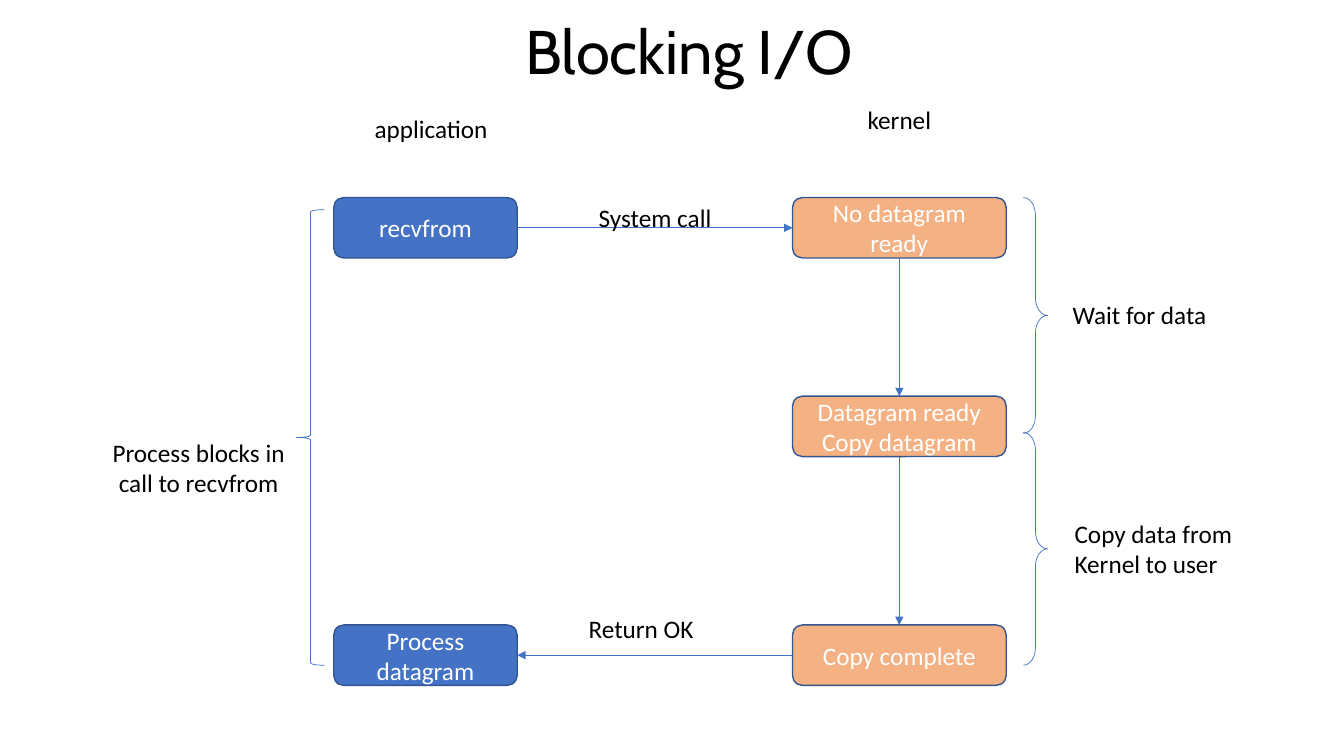
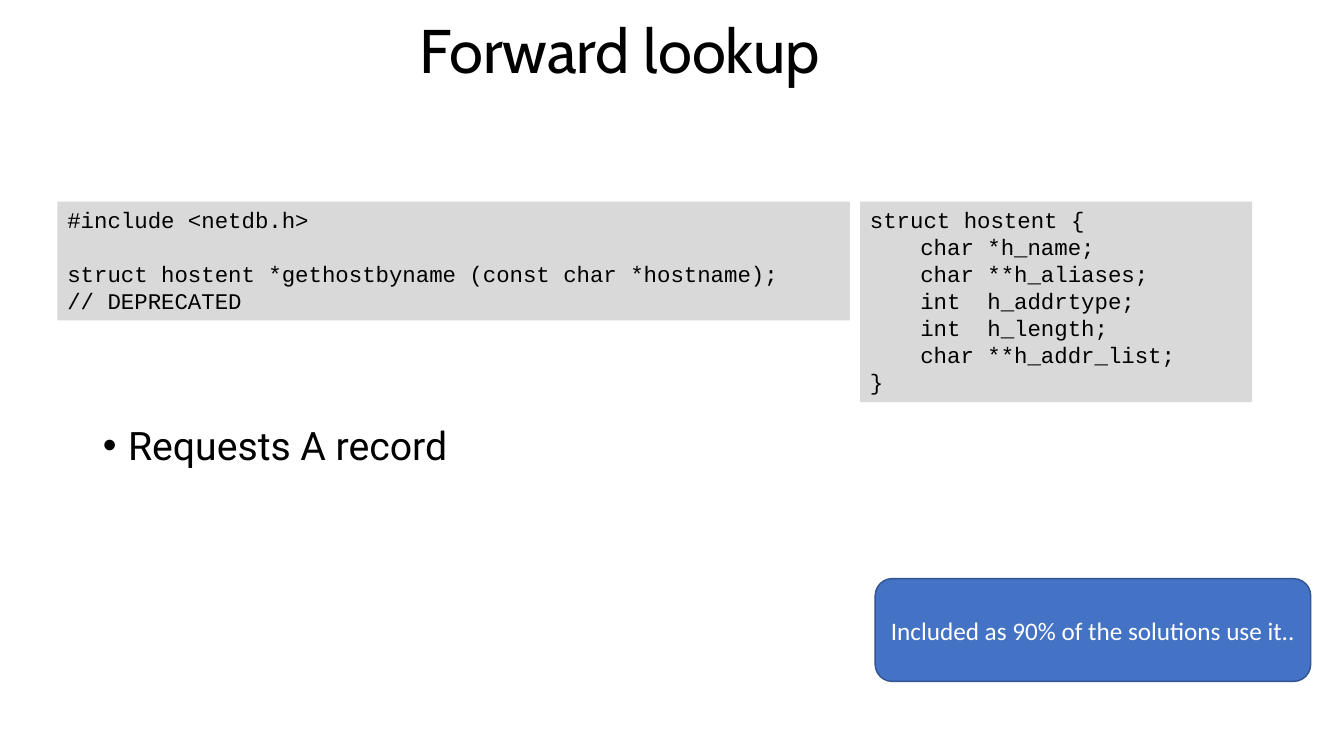
from lxml import etree
from pptx import Presentation
from pptx import util as u
from pptx.dml.color import RGBColor
from pptx.enum import shapes, text
from pptx.oxml.ns import qn

COLORS = {
    "ink": "000000", "white": "FFFFFF", "blue": "4472C4",
    "edge": "325491", "orange": "F4B183", "code": "D9D9D9",
}
STYLES = {
    "title": {"name": "Cabin", "size": u.Pt(44)},
    "body": {"name": "Roboto", "size": u.Pt(28)},
    "label": {"name": "Calibri", "size": u.Pt(18)},
    "code": {"name": "Courier New", "size": u.Pt(16)},
}
SHAPE = shapes.MSO_SHAPE
ALIGN = text.PP_ALIGN
ANCHOR = text.MSO_ANCHOR


def write(shape, words, style, color="ink", align=ALIGN.LEFT, anchor=ANCHOR.TOP,
          wrap=True, grow=False, spacing=1.0):
    """Fill a shape with one paragraph per line of words, all in one style."""
    frame = shape.text_frame
    frame.text = words
    frame_format = {
        "vertical_anchor": anchor,
        "word_wrap": wrap,
        "auto_size": text.MSO_AUTO_SIZE.SHAPE_TO_FIT_TEXT if grow else text.MSO_AUTO_SIZE.NONE,
    }
    for key, value in frame_format.items():
        setattr(frame, key, value)
    for paragraph in frame.paragraphs:
        paragraph.alignment = align
        paragraph.line_spacing = spacing
        paragraph.space_before = u.Pt(0)
        for run in paragraph.runs:
            for key, value in STYLES[style].items():
                setattr(run.font, key, value)
            run.font.color.rgb = RGBColor.from_string(COLORS[color])
        if not paragraph.runs:
            size = str(int(STYLES[style]["size"].pt * 100))
            etree.SubElement(paragraph._p, qn("a:endParaRPr"), sz=size)


def add_shape(slide, kind, place, fill=None, line=None, weight=1):
    shape = slide.shapes.add_shape(kind, *map(u.Inches, place))
    shape.shadow.inherit = False
    if fill:
        shape.fill.solid()
        shape.fill.fore_color.rgb = RGBColor.from_string(COLORS[fill])
    else:
        shape.fill.background()
    if line:
        shape.line.color.rgb = RGBColor.from_string(COLORS[line])
        shape.line.width = u.Pt(weight)
    else:
        shape.line.fill.background()
    return shape


deck = Presentation()
deck.slide_width, deck.slide_height = u.Inches(13.33), u.Inches(7.5)

# Both slides: a centred title at the top edge
TITLES = [("Blocking I/O", 5, 11.17, 1.09), ("Forward lookup", 1, 9.8, 1.07)]
slides = []
for words, layout, width, height in TITLES:
    slide = deck.slides.add_slide(deck.slide_layouts[layout])
    title = slide.shapes.title
    title.left, title.top, title.width, title.height = map(u.Inches, (1.25, 0, width, height))
    write(title, words, "title", align=ALIGN.CENTER, anchor=ANCHOR.MIDDLE, spacing=0.9)
    slides.append(slide)
blocking, lookup = slides

# Blocking I/O: steps on a grid of two columns and three rows
COLUMNS = {"application": (3.31, 1.82, "blue"), "kernel": (7.86, 2.12, "orange")}
ROWS = [1.96, 3.93, 6.2]
STEP_HEIGHT = 0.6
STEPS = {
    "call": ("application", 0, "recvfrom"),
    "waiting": ("kernel", 0, "No datagram ready"),
    "ready": ("kernel", 1, "Datagram ready\nCopy datagram"),
    "complete": ("kernel", 2, "Copy complete"),
    "process": ("application", 2, "Process datagram"),
}
steps = {}
for key, (column, row, words) in STEPS.items():
    left, width, fill = COLUMNS[column]
    steps[key] = add_shape(blocking, SHAPE.ROUNDED_RECTANGLE,
                           (left, ROWS[row], width, STEP_HEIGHT), fill, "edge")
    write(steps[key], words, "label", "white", ALIGN.CENTER, ANCHOR.MIDDLE)

# Arrows join the steps at connection sites
TOP, LEFT, BOTTOM, RIGHT = range(4)
ARROWS = [
    ("call", RIGHT, "waiting", LEFT),
    ("waiting", BOTTOM, "ready", TOP),
    ("ready", BOTTOM, "complete", TOP),
    ("complete", LEFT, "process", RIGHT),
]
for source, exit_site, target, entry_site in ARROWS:
    arrow = blocking.shapes.add_connector(shapes.MSO_CONNECTOR.STRAIGHT, 0, 0, 0, 0)
    arrow.begin_connect(steps[source], exit_site)
    arrow.end_connect(steps[target], entry_site)
    arrow.line.color.rgb = RGBColor.from_string(COLORS["blue"])
    arrow.line.width = u.Pt(0.5)
    etree.SubElement(arrow.line._get_or_add_ln(), qn("a:tailEnd"), type="triangle")
    etree.SubElement(arrow._element.spPr, qn("a:effectLst"))

BRACES = [
    (SHAPE.RIGHT_BRACE, (10.15, 1.96, 0.24, 2.34), 0.72),
    (SHAPE.RIGHT_BRACE, (10.15, 4.29, 0.24, 2.31), 0.72),
    (SHAPE.LEFT_BRACE, (2.94, 2.08, 0.28, 4.52), 0.08),
]
for kind, place, curl in BRACES:
    brace = add_shape(blocking, kind, place, line="blue", weight=0.5)
    brace.adjustments[0] = curl

LABELS = [
    ("application", (3.42, 1.08, 1.71, 0.4), ALIGN.CENTER, True),
    ("kernel", (7.86, 0.99, 2.12, 0.4), ALIGN.CENTER, True),
    ("System call", (5.84, 1.96, 1.33, 0.4), ALIGN.LEFT, False),
    ("Return OK", (5.74, 6.04, 1.25, 0.4), ALIGN.LEFT, False),
    ("Wait for data", (10.54, 2.92, 1.54, 0.4), ALIGN.LEFT, False),
    ("Copy data from\nKernel to user", (10.56, 5.09, 1.84, 0.71), ALIGN.LEFT, False),
    ("Process blocks in\ncall to recvfrom", (0.98, 4.29, 1.98, 0.71), ALIGN.CENTER, False),
]
for words, place, align, wrap in LABELS:
    label = blocking.shapes.add_textbox(*map(u.Inches, place))
    write(label, words, "label", align=align, wrap=wrap, grow=True)

# Forward lookup: one bullet, two listings and a remark
body = lookup.placeholders[1]
body.left, body.top, body.width, body.height = map(u.Inches, (0.92, 4.18, 11.5, 2.57))
write(body, "Requests A record", "body", spacing=0.9)
indent = u.Inches(0.25)
bullet = body.text_frame.paragraphs[0]._p.get_or_add_pPr()
bullet.set("marL", str(indent))
bullet.set("indent", str(-indent))
etree.SubElement(bullet, qn("a:buFont"), typeface="Arial")
etree.SubElement(bullet, qn("a:buChar"), char="•")

PROTOTYPE = """#include <netdb.h>

struct hostent *gethostbyname (const char *hostname);
// DEPRECATED"""
STRUCTURE = """struct hostent {
\tchar *h_name;
\tchar **h_aliases;
\tint  h_addrtype;
\tint  h_length;
\tchar **h_addr_list;
}"""
for code, place in [(PROTOTYPE, (0.57, 2, 7.86, 1.18)), (STRUCTURE, (8.53, 2, 3.89, 1.99))]:
    listing = add_shape(lookup, SHAPE.RECTANGLE, place, "code")
    write(listing, code, "code", grow=True)

remark = add_shape(lookup, SHAPE.ROUNDED_RECTANGLE, (8.68, 5.74, 4.32, 1.02), "blue", "edge")
write(remark, "Included as 90% of the solutions use it..", "label", "white",
      ALIGN.CENTER, ANCHOR.MIDDLE)

deck.save("out.pptx")
